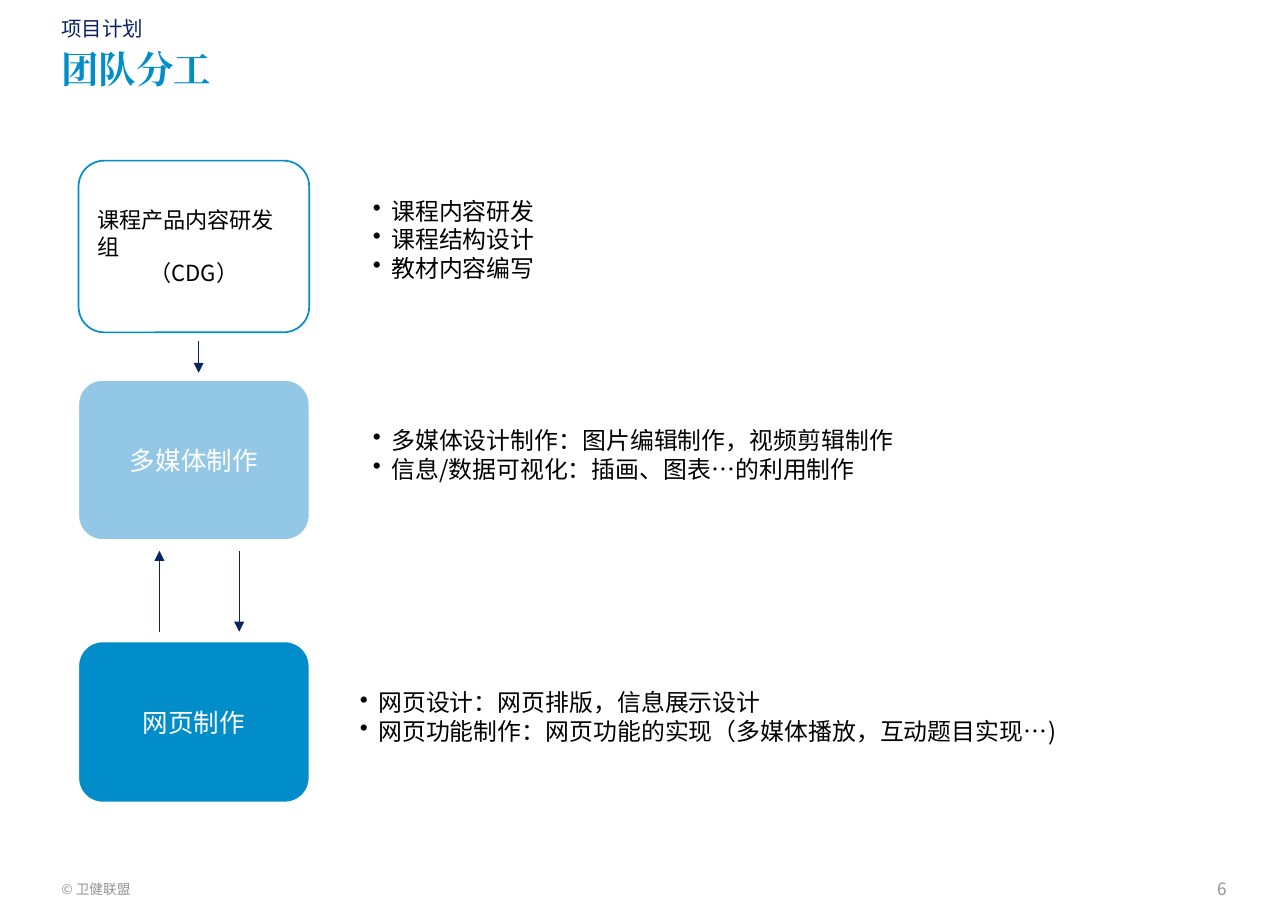
from dataclasses import dataclass

from lxml.etree import SubElement
from pptx import Presentation
from pptx.dml.color import RGBColor
from pptx.enum.shapes import MSO_CONNECTOR, MSO_SHAPE
from pptx.enum.text import MSO_ANCHOR, PP_ALIGN
from pptx.oxml.ns import qn
from pptx.shapes.shapetree import SlideShapes
from pptx.text.text import TextFrame
from pptx.util import Pt

SANS = "Noto Sans CJK SC"
SERIF = "Times New Roman"
NAVY, BLUE, PALE = "0A2463", "008DC9", "93C7E6"
WHITE, BLACK, GREY = "FFFFFF", "000000", "939393"
LEFT, CENTER, RIGHT = PP_ALIGN.LEFT, PP_ALIGN.CENTER, PP_ALIGN.RIGHT
TOP, MIDDLE = MSO_ANCHOR.TOP, MSO_ANCHOR.MIDDLE


@dataclass
class Label:
    text: str
    left: float
    top: float
    width: float
    height: float
    size: float
    color: str
    font: str = SANS
    bold: bool = False
    align: PP_ALIGN = LEFT
    anchor: MSO_ANCHOR = TOP
    leading: float = 1.0
    bullet: bool = False


@dataclass
class Team:
    lines: list[tuple[str, PP_ALIGN]]
    top: float
    height: float
    fill: str
    edge: str
    weight: float
    size: float
    color: str


@dataclass
class Arrow:
    x: float
    start: float
    end: float


LABELS = [
    Label("© 卫健联盟", 36, 516.2, 41, 10.8, 8, GREY, anchor=MIDDLE),
    Label("6", 700, 514.8, 20, 13.7, 10, GREY, align=RIGHT, anchor=MIDDLE),
    Label("团队分工", 36, 30.2, 684, 59.8, 22, BLUE, SERIF, True, leading=0.9),
    Label("项目计划", 36, 9.4, 87, 20.9, 12, NAVY),
    Label("课程内容研发\n课程结构设计\n教材内容编写",
          218.9, 115.2, 456.5, 59.8, 14, BLACK, bullet=True),
    Label("多媒体设计制作：图片编辑制作，视频剪辑制作\n信息/数据可视化：插画、图表…的利用制作",
          218.9, 249.8, 456.5, 40.3, 14, BLACK, bullet=True),
    Label("网页设计：网页排版，信息展示设计\n网页功能制作：网页功能的实现（多媒体播放，互动题目实现…)",
          211.3, 403.9, 429, 40.3, 14, BLACK, bullet=True),
]
TEAMS = [
    Team([("课程产品内容研发组", LEFT), ("（CDG）", CENTER)],
         94.3, 100.8, WHITE, BLUE, 1, 13, BLACK),
    Team([("多媒体制作", CENTER)], 223.2, 93.6, PALE, WHITE, 0.75, 15, WHITE),
    Team([("网页制作", CENTER)], 376.6, 94.3, BLUE, WHITE, 0.75, 15, WHITE),
]
ARROWS = [
    Arrow(116.6, 200.2, 218.9),
    Arrow(140.4, 323.3, 370.8),
    Arrow(93.6, 370.8, 323.3),
]


def paint(code: str) -> RGBColor:
    """Turn a hex string into a colour."""
    return RGBColor.from_string(code)


def write(frame: TextFrame, lines: list[tuple[str, PP_ALIGN]], size: float,
          color: str, font: str = SANS, bold: bool = False,
          leading: float = 1.0, bullet: bool = False, inset: float = 0) -> None:
    """Fill a text frame with evenly styled paragraphs."""
    frame.word_wrap = True
    frame.margin_left = frame.margin_right = Pt(inset)
    frame.margin_top = frame.margin_bottom = Pt(inset)
    frame.text = "\n".join(text for text, _ in lines)
    for para, (_, align) in zip(frame.paragraphs, lines):
        para.alignment = align
        para.line_spacing = leading
        props = para._p.get_or_add_pPr()
        if bullet:
            props.set("marL", str(Pt(10.8)))
            props.set("indent", str(-Pt(10.8)))
            SubElement(props, qn("a:buChar")).set("char", "•")
        para.font.size = Pt(size)
        para.font.bold = bold
        para.font.color.rgb = paint(color)
        para.font.name = font
        style = props.find(qn("a:defRPr"))
        SubElement(style, qn("a:ea")).set("typeface", font)


def add_label(shapes: SlideShapes, item: Label) -> None:
    """Place a block of plain or bulleted text."""
    box = shapes.add_textbox(Pt(item.left), Pt(item.top),
                             Pt(item.width), Pt(item.height))
    frame = box.text_frame
    frame.vertical_anchor = item.anchor
    lines = [(text, item.align) for text in item.text.split("\n")]
    write(frame, lines, item.size, item.color, item.font, item.bold,
          item.leading, item.bullet)


def add_team(shapes: SlideShapes, team: Team) -> None:
    """Draw the rounded box of one team."""
    box = shapes.add_shape(MSO_SHAPE.ROUNDED_RECTANGLE, Pt(46.1), Pt(team.top),
                           Pt(135.4), Pt(team.height))
    box.adjustments[0] = 0.15
    box.shadow.inherit = False
    box.fill.solid()
    box.fill.fore_color.rgb = paint(team.fill)
    box.line.color.rgb = paint(team.edge)
    box.line.width = Pt(team.weight)
    box.text_frame.vertical_anchor = MIDDLE
    write(box.text_frame, team.lines, team.size, team.color, inset=6.5)


def add_arrow(shapes: SlideShapes, arrow: Arrow) -> None:
    """Draw an upright arrow between two teams."""
    line = shapes.add_connector(MSO_CONNECTOR.STRAIGHT, Pt(arrow.x),
                                Pt(arrow.start), Pt(arrow.x), Pt(arrow.end))
    line.line.color.rgb = paint(NAVY)
    line.line.width = Pt(0.75)
    stroke = line.line._get_or_add_ln()
    SubElement(stroke, qn("a:tailEnd")).set("type", "triangle")
    SubElement(line._element.spPr, qn("a:effectLst"))


def main() -> None:
    """Build the team slide and save it."""
    deck = Presentation()
    deck.slide_width, deck.slide_height = Pt(756), Pt(540)
    shapes = deck.slides.add_slide(deck.slide_layouts[6]).shapes
    for team in TEAMS:
        add_team(shapes, team)
    for arrow in ARROWS:
        add_arrow(shapes, arrow)
    for item in LABELS:
        add_label(shapes, item)
    deck.save("out.pptx")


if __name__ == "__main__":
    main()
